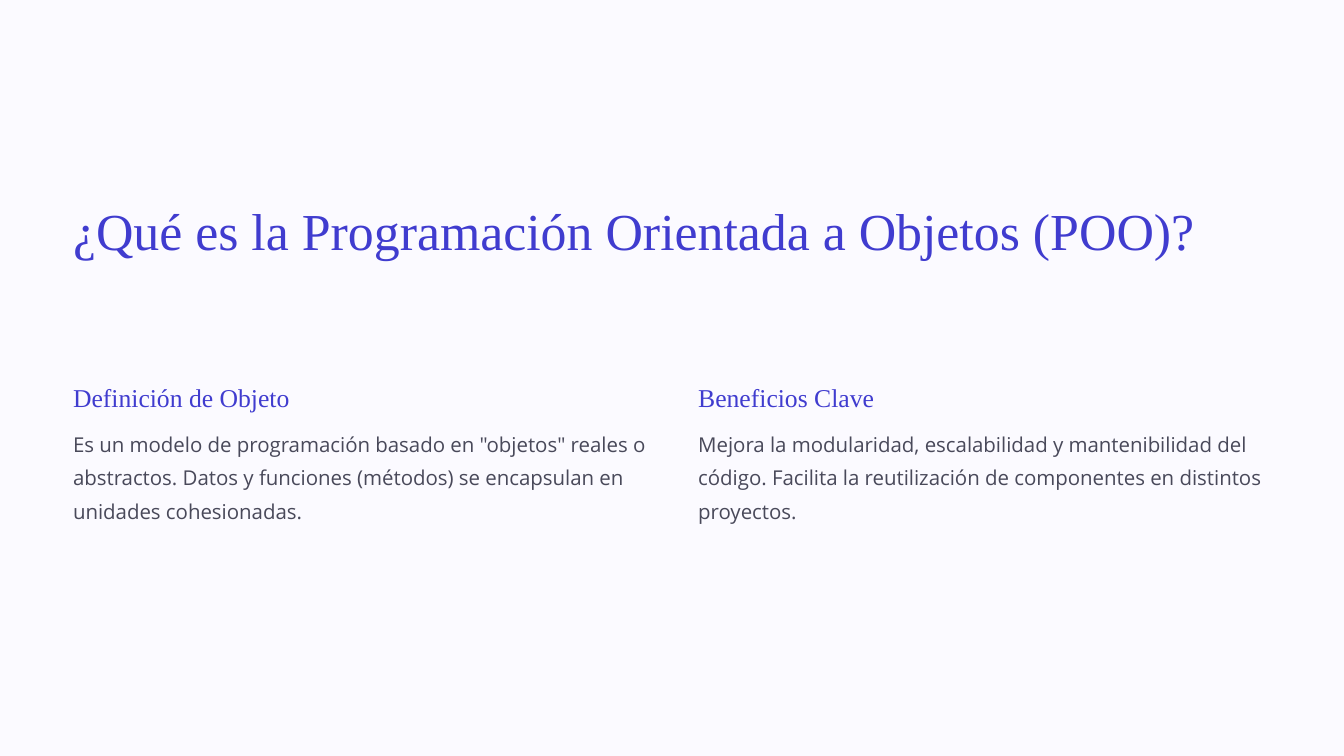
from lxml.etree import SubElement
from pptx import Presentation
from pptx.dml.color import RGBColor
from pptx.enum.shapes import MSO_SHAPE
from pptx.enum.text import MSO_ANCHOR, MSO_AUTO_SIZE, PP_ALIGN
from pptx.oxml.ns import qn
from pptx.util import Cm, Pt

COLORS = {"back": "FBFAFF", "head": "403CCF", "body": "49495A"}
SERIF, SANS = "Times New Roman", "Open Sans"
WIDE, HIGH = 50.8, 28.58
LEFT, STEP, WIDTH = 2.76, 23.63, 21.7
HEAD_TOP, BODY_TOP = 14.38, 16.01

COLUMNS = [
    ("Definición de Objeto",
     'Es un modelo de programación basado en "objetos" reales o abstractos. '
     "Datos y funciones (métodos) se encapsulan en unidades cohesionadas."),
    ("Beneficios Clave",
     "Mejora la modularidad, escalabilidad y mantenibilidad del código. "
     "Facilita la reutilización de componentes en distintos proyectos."),
]


def place(shape, left, top, width, height):
    shape.left, shape.top = Cm(left), Cm(top)
    shape.width, shape.height = Cm(width), Cm(height)


def write(shape, text, *, size, line, font=SERIF, color="head"):
    frame = shape.text_frame
    frame.text = text
    frame.word_wrap = True
    frame.auto_size = MSO_AUTO_SIZE.NONE
    frame.vertical_anchor = MSO_ANCHOR.TOP
    frame.margin_left = frame.margin_right = 0
    frame.margin_top = frame.margin_bottom = 0

    # Plain paragraph without bullet or hanging indent
    para = frame.paragraphs[0]
    props = para._p.get_or_add_pPr()
    props.set("marL", "0")
    props.set("indent", "0")
    SubElement(props, qn("a:buNone"))
    para.alignment = PP_ALIGN.LEFT
    para.line_spacing = Pt(line)
    para.space_before = Pt(0)

    style = para.runs[0].font
    style.name, style.size, style.bold = font, Pt(size), False
    style.color.rgb = RGBColor.from_string(COLORS[color])


def add_panel(slide):
    panel = slide.shapes.add_shape(
        MSO_SHAPE.RECTANGLE, 0, 0, Cm(WIDE), Cm(HIGH))
    panel.shadow.inherit = False
    panel.fill.solid()
    panel.fill.fore_color.rgb = RGBColor.from_string(COLORS["back"])
    panel.line.fill.background()
    # Send behind the placeholders
    slide.shapes._spTree.insert(2, panel._element)


def add_column(head, body, left, texts):
    place(head, left, HEAD_TOP, WIDTH, 1.35)
    write(head, texts[0], size=27.5, line=34.4)
    place(body, left, BODY_TOP, WIDTH, 4.27)
    write(body, texts[1], size=21.85, line=35.6, font=SANS, color="body")


def main():
    deck = Presentation()
    deck.slide_width, deck.slide_height = Cm(WIDE), Cm(HIGH)
    slide = deck.slides.add_slide(deck.slide_layouts.get_by_name("Comparison"))
    title, *boxes = slide.placeholders

    # Background panel
    add_panel(slide)

    # Title
    place(title, LEFT, 7.42, 45.29, 5.08)
    write(title, "¿Qué es la Programación Orientada a Objetos (POO)?",
          size=55.6, line=69.4)

    # Two columns of heading and text
    for i, texts in enumerate(COLUMNS):
        head, body = boxes[2 * i:2 * i + 2]
        add_column(head, body, LEFT + i * STEP, texts)

    deck.save("out.pptx")


if __name__ == "__main__":
    main()
